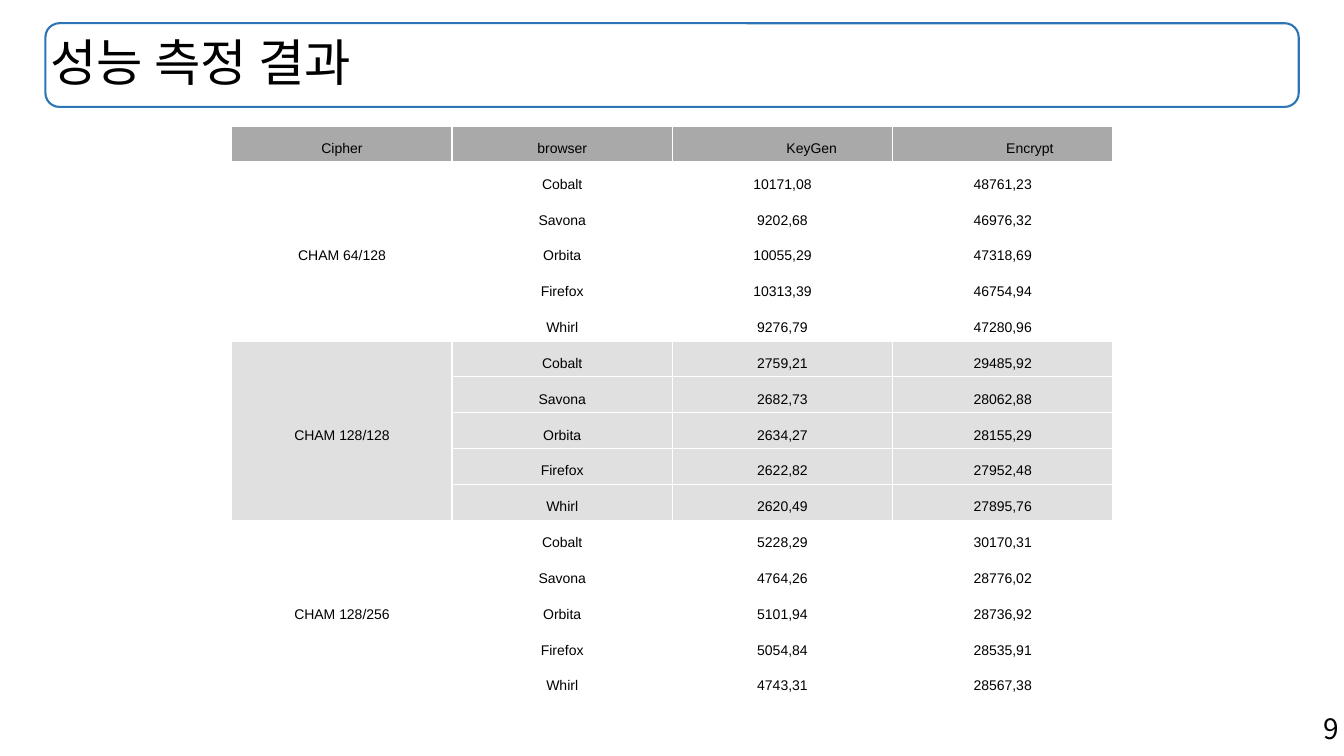
"""Build the slide with the browser performance table of the CHAM ciphers."""
from lxml.etree import SubElement
from pptx import Presentation
from pptx.dml.color import RGBColor
from pptx.enum.shapes import MSO_SHAPE
from pptx.enum.text import MSO_ANCHOR, PP_ALIGN
from pptx.oxml.ns import qn
from pptx.util import Inches, Pt

BLACK = RGBColor(0x00, 0x00, 0x00)
WHITE = RGBColor(0xFF, 0xFF, 0xFF)
BLUE = RGBColor(0x2E, 0x75, 0xB6)
HEADER_GRAY = RGBColor(0xA9, 0xA9, 0xA9)
BAND_GRAY = RGBColor(0xE0, 0xE0, 0xE0)
KOREAN_FONT = "Noto Sans CJK KR"

HEADERS = ["Cipher", "browser", "KeyGen", "Encrypt"]
HEADER_INDENTS = [0, 0, 0.58, 0.54]
BROWSERS = ["Cobalt", "Savona", "Orbita", "Firefox", "Whirl"]
RESULTS = {
    "CHAM 64/128": (
        ["10171,08", "9202,68", "10055,29", "10313,39", "9276,79"],
        ["48761,23", "46976,32", "47318,69", "46754,94", "47280,96"],
    ),
    "CHAM 128/128": (
        ["2759,21", "2682,73", "2634,27", "2622,82", "2620,49"],
        ["29485,92", "28062,88", "28155,29", "27952,48", "27895,76"],
    ),
    "CHAM 128/256": (
        ["5228,29", "4764,26", "5101,94", "5054,84", "4743,31"],
        ["30170,31", "28776,02", "28736,92", "28535,91", "28567,38"],
    ),
}

deck = Presentation()
deck.slide_width = Inches(13.33)
deck.slide_height = Inches(7.5)
page = deck.slides.add_slide(deck.slide_layouts[6])


def area(left, top, width, height):
    """Turn percentages of the slide's size into lengths."""
    sides = [deck.slide_width, deck.slide_height] * 2
    return [int(side * share / 100) for side, share in zip(sides, (left, top, width, height))]


def write(frame, text, size, font="Arial", align=PP_ALIGN.LEFT, spacing=1.0):
    """Write one formatted paragraph into a text frame."""
    para = frame.paragraphs[0]
    para.alignment = align
    para.line_spacing = spacing
    span = para.add_run()
    span.text = text
    span.font.size = Pt(size)
    span.font.name = font
    span.font.color.rgb = BLACK
    SubElement(span.font._element, qn("a:ea"), typeface=KOREAN_FONT)


title_area = area(3.38, 3.07, 93.25, 11.07)
title_outline = page.shapes.add_shape(MSO_SHAPE.ROUNDED_RECTANGLE, *title_area)
title_outline.shadow.inherit = False
title_outline.fill.background()
title_outline.line.color.rgb = BLUE
title_outline.line.width = Pt(1.5)

title_box = page.shapes.add_textbox(*title_area)
number_box = page.shapes.add_textbox(*area(97.95, 93.47, 2.05, 5.47))
for box in (title_box, number_box):
    frame = box.text_frame
    frame.margin_left = frame.margin_right = Inches(0.05)
    frame.margin_top = frame.margin_bottom = Inches(0.05)
title_box.text_frame.word_wrap = True
title_box.text_frame.vertical_anchor = MSO_ANCHOR.MIDDLE
number_box.text_frame.word_wrap = False
write(title_box.text_frame, "성능 측정 결과", 36, spacing=0.9)
write(number_box.text_frame, "9", 20, font=KOREAN_FONT, align=PP_ALIGN.RIGHT)

rows = [HEADERS]
for cipher, (keygen, encrypt) in RESULTS.items():
    rows += [[cipher, *values] for values in zip(BROWSERS, keygen, encrypt)]

table_area = area(17.25, 16.67, 65.55, 75.87)
table = page.shapes.add_table(len(rows), len(HEADERS), *table_area).table
table.horz_banding = False
for column in table.columns:
    column.width = table_area[2] // len(HEADERS)
for row in table.rows:
    row.height = table_area[3] // len(rows)
for first in range(1, len(rows), len(BROWSERS)):
    table.cell(first, 0).merge(table.cell(first + len(BROWSERS) - 1, 0))

for row_index, values in enumerate(rows):
    group = (row_index - 1) // len(BROWSERS)
    fill = HEADER_GRAY if row_index == 0 else BAND_GRAY if group == 1 else WHITE
    for column_index, value in enumerate(values):
        cell = table.cell(row_index, column_index)
        cell.margin_left = cell.margin_right = cell.margin_top = cell.margin_bottom = 0
        cell.vertical_anchor = MSO_ANCHOR.MIDDLE
        properties = cell._tc.get_or_add_tcPr()
        for edge in ("a:lnL", "a:lnR", "a:lnT", "a:lnB"):
            border = SubElement(properties, qn(edge), w=str(Pt(1)))
            SubElement(SubElement(border, qn("a:solidFill")), qn("a:srgbClr"), val=str(WHITE))
        cell.fill.solid()
        cell.fill.fore_color.rgb = fill
        if row_index == 0:
            cell.margin_left = Inches(HEADER_INDENTS[column_index])
        if not cell.is_spanned:
            write(cell.text_frame, value, 10, align=PP_ALIGN.CENTER, spacing=1.6)

deck.save("out.pptx")
